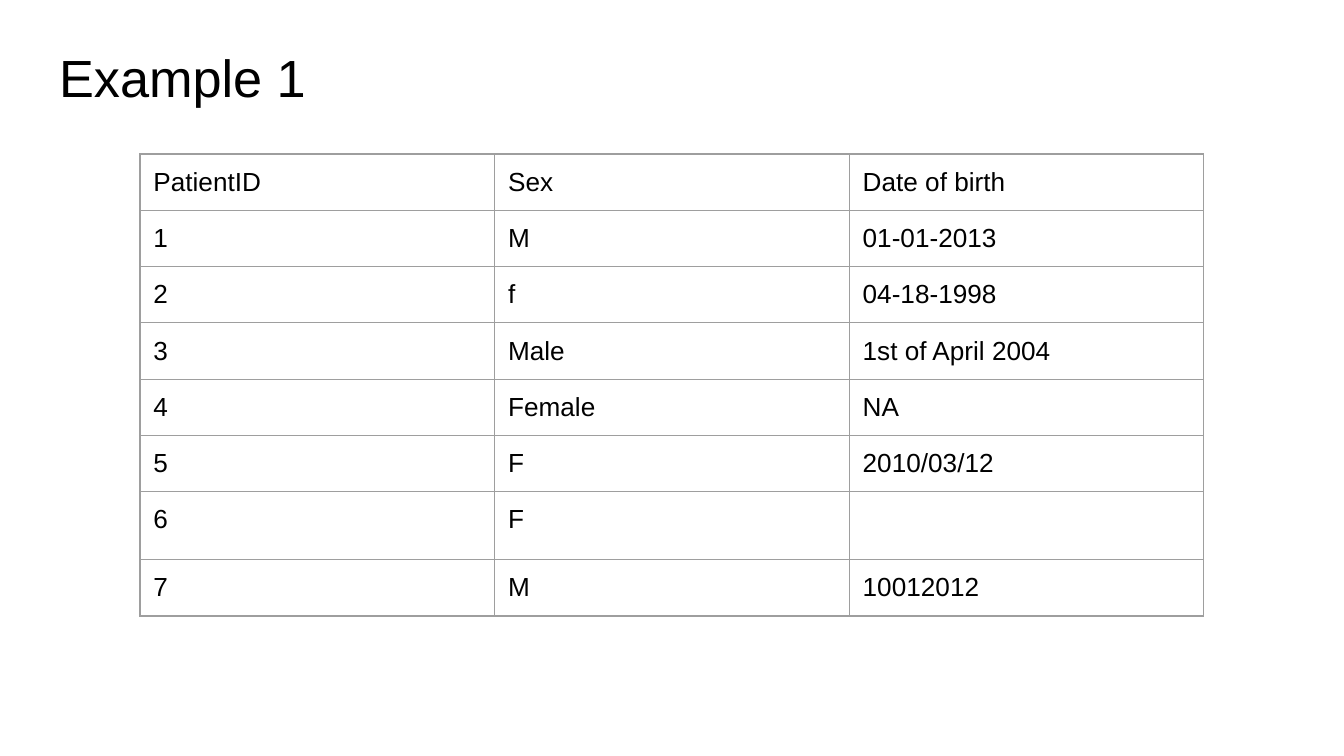
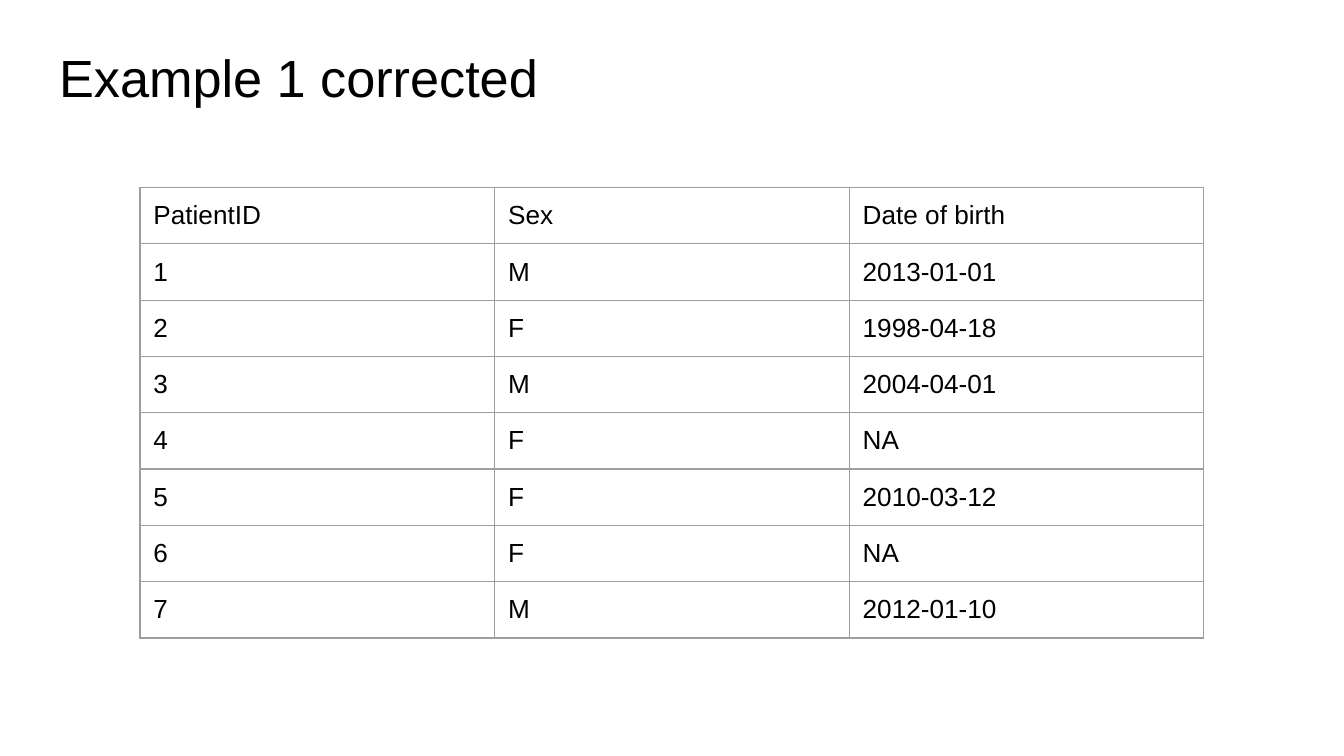
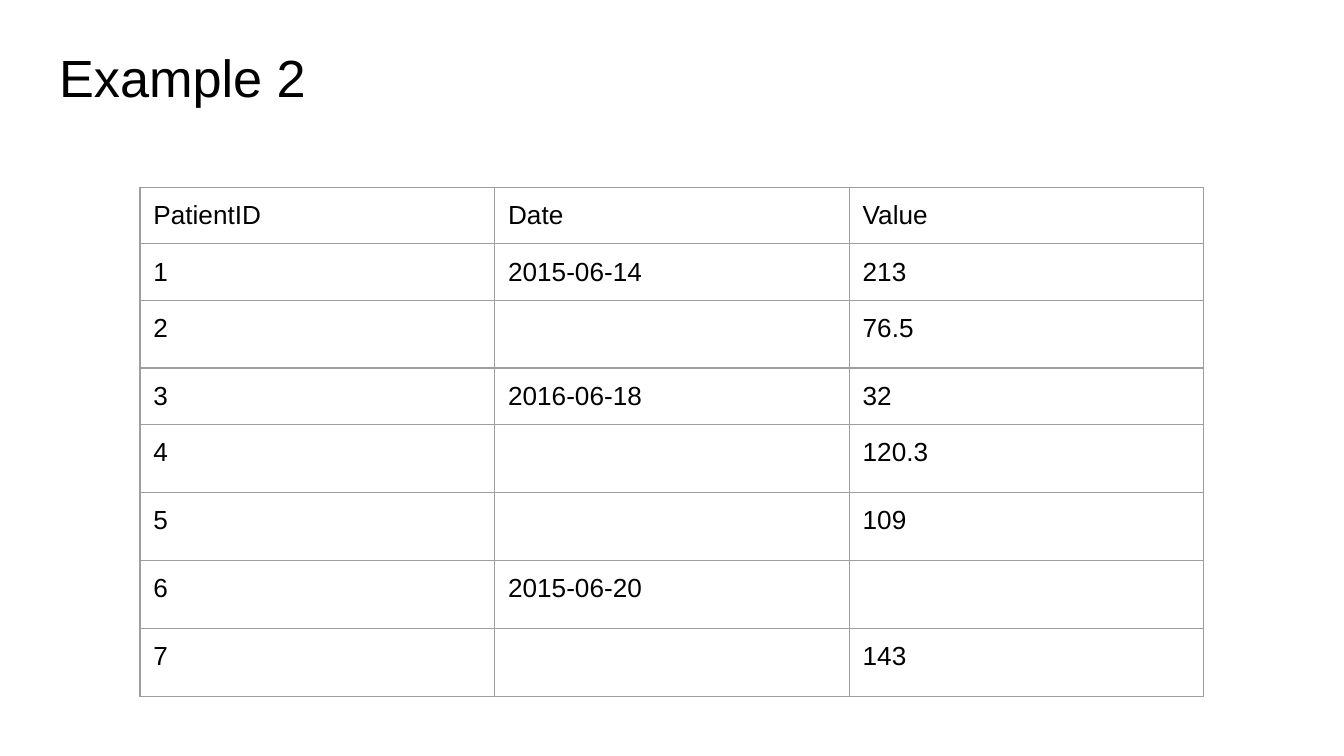
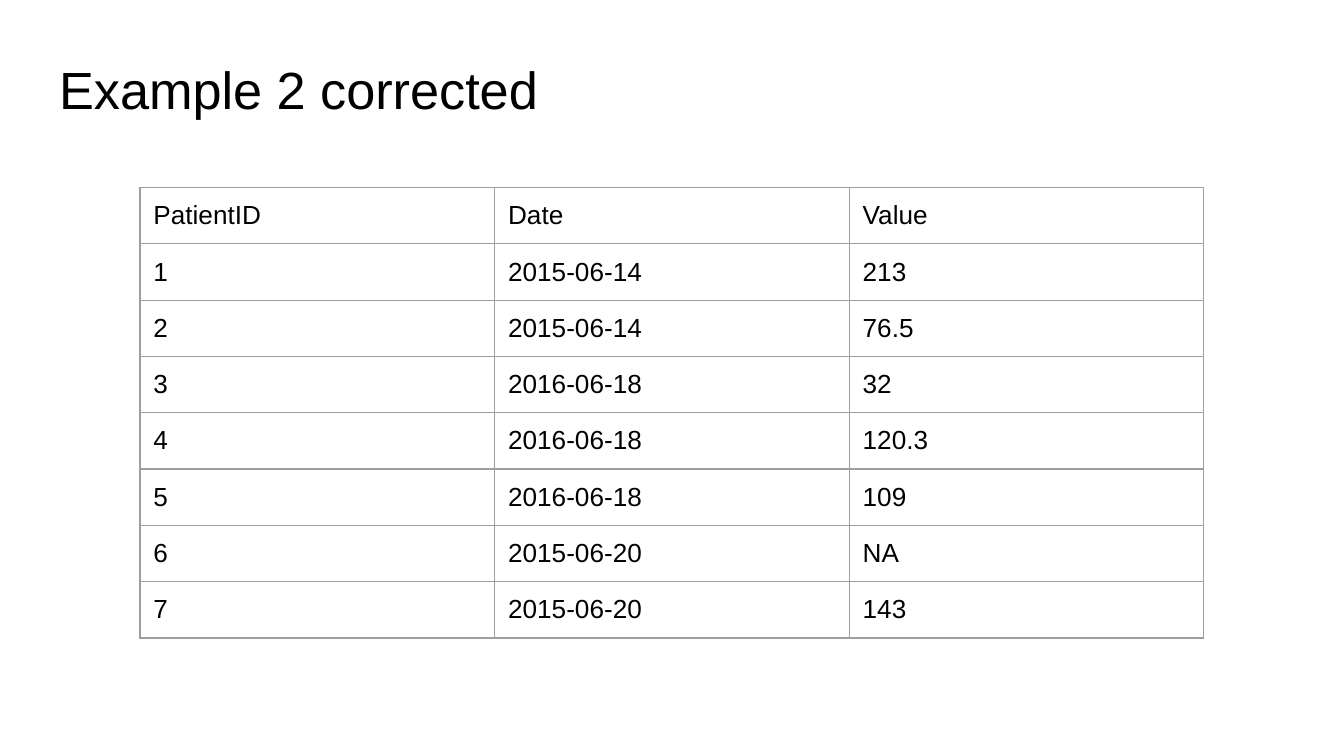
from lxml import etree
from pptx import Presentation
from pptx import util as u
from pptx.dml.color import RGBColor
from pptx.enum import text
from pptx.oxml import ns

# Content: title, title top, table top, rows
PATIENT_HEAD = ("PatientID", "Sex", "Date of birth")
VALUE_HEAD = ("PatientID", "Date", "Value")
SLIDES = [
    ("Example 1", 17.25, 82.5, [
        PATIENT_HEAD,
        ("1", "M", "01-01-2013"),
        ("2", "f", "04-18-1998"),
        ("3", "Male", "1st of April 2004"),
        ("4", "Female", "NA"),
        ("5", "F", "2010/03/12"),
        ("6", "F", ""),
        ("7", "M", "10012012"),
    ]),
    ("Example 1 corrected", 17.25, 100.5, [
        PATIENT_HEAD,
        ("1", "M", "2013-01-01"),
        ("2", "F", "1998-04-18"),
        ("3", "M", "2004-04-01"),
        ("4", "F", "NA"),
        ("5", "F", "2010-03-12"),
        ("6", "F", "NA"),
        ("7", "M", "2012-01-10"),
    ]),
    ("Example 2", 17.25, 100.5, [
        VALUE_HEAD,
        ("1", "2015-06-14", "213"),
        ("2", "", "76.5"),
        ("3", "2016-06-18", "32"),
        ("4", "", "120.3"),
        ("5", "", "109"),
        ("6", "2015-06-20", ""),
        ("7", "", "143"),
    ]),
    ("Example 2 corrected", 23.25, 100.5, [
        VALUE_HEAD,
        ("1", "2015-06-14", "213"),
        ("2", "2015-06-14", "76.5"),
        ("3", "2016-06-18", "32"),
        ("4", "2016-06-18", "120.3"),
        ("5", "2016-06-18", "109"),
        ("6", "2015-06-20", "NA"),
        ("7", "2015-06-20", "143"),
    ]),
]

# Shared style
FONT, INK, GRID = "Arial", "000000", "9E9E9E"
TITLE_SIZE, CELL_SIZE = 28, 14
MARGIN = 7.2
TITLE_LEFT, TITLE_WIDTH, TITLE_HEIGHT = 24.5, 671, 45
TABLE_LEFT, COLUMN_WIDTH, ROW_HEIGHT = 75, 190, 30


def color(code):
    return RGBColor.from_string(code)


def set_margins(holder):
    for side in ("left", "top", "right", "bottom"):
        setattr(holder, f"margin_{side}", u.Pt(MARGIN))


def format_runs(frame, size):
    for para in frame.paragraphs:
        para.alignment = text.PP_ALIGN.LEFT
        for span in para.runs:
            span.font.name = FONT
            span.font.size = u.Pt(size)
            span.font.color.rgb = color(INK)


def add_borders(cell):
    properties = cell._tc.get_or_add_tcPr()
    for position, edge in enumerate(("lnL", "lnR", "lnT", "lnB")):
        line = etree.Element(ns.qn(f"a:{edge}"), w=str(u.Pt(0.75)))
        fill = etree.SubElement(line, ns.qn("a:solidFill"))
        etree.SubElement(fill, ns.qn("a:srgbClr"), val=GRID)
        properties.insert(position, line)


def add_title(page, title, top):
    box = page.shapes.title
    box.left, box.top = u.Pt(TITLE_LEFT), u.Pt(top)
    box.width, box.height = u.Pt(TITLE_WIDTH), u.Pt(TITLE_HEIGHT)
    frame = box.text_frame
    frame.text = title
    frame.word_wrap = True
    frame.auto_size = text.MSO_AUTO_SIZE.NONE
    frame.vertical_anchor = text.MSO_ANCHOR.TOP
    set_margins(frame)
    format_runs(frame, TITLE_SIZE)


def add_grid(page, rows, top):
    columns = len(rows[0])
    table = page.shapes.add_table(
        len(rows), columns, u.Pt(TABLE_LEFT), u.Pt(top),
        u.Pt(COLUMN_WIDTH * columns), u.Pt(ROW_HEIGHT * len(rows))).table
    table.first_row = table.horz_banding = False
    for r, row in enumerate(rows):
        for c, value in enumerate(row):
            cell = table.cell(r, c)
            cell.fill.background()
            set_margins(cell)
            add_borders(cell)
            if value:
                cell.text_frame.text = value
                format_runs(cell.text_frame, CELL_SIZE)


def main():
    deck = Presentation()
    deck.slide_width, deck.slide_height = u.Pt(720), u.Pt(405)
    title_only = deck.slide_layouts[5]
    for title, title_top, table_top, rows in SLIDES:
        page = deck.slides.add_slide(title_only)
        add_title(page, title, title_top)
        add_grid(page, rows, table_top)
    deck.save("out.pptx")


if __name__ == "__main__":
    main()
